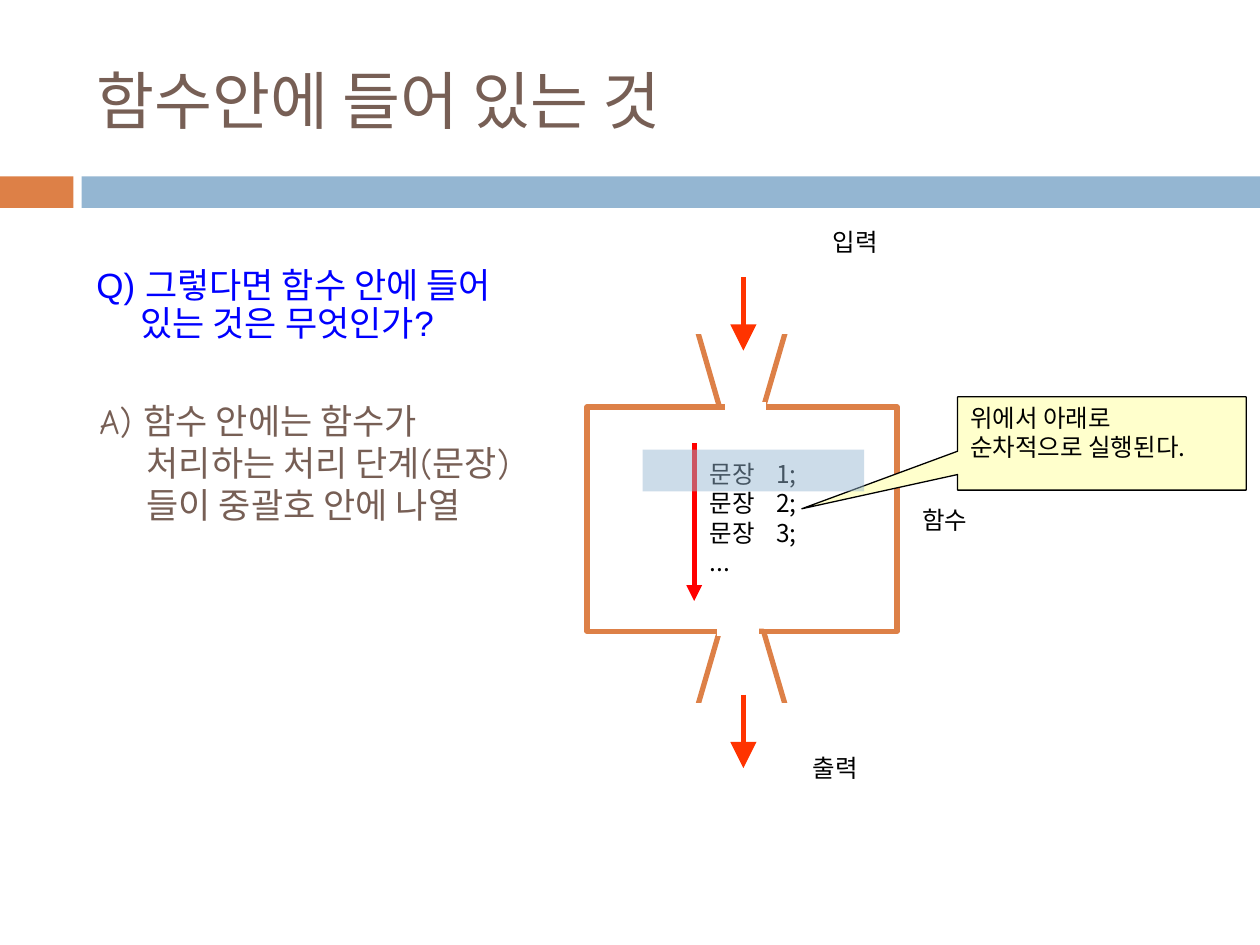
from dataclasses import dataclass

from lxml.etree import SubElement
from pptx import Presentation
from pptx.dml.color import RGBColor
from pptx.enum.shapes import MSO_CONNECTOR, MSO_SHAPE
from pptx.enum.text import MSO_ANCHOR, PP_ALIGN
from pptx.oxml.ns import qn
from pptx.util import Pt


@dataclass(frozen=True)
class Theme:
    orange: str = "DD8047"
    blue: str = "94B6D2"
    brown: str = "775F55"
    question: str = "0000FF"
    flow: str = "FF3300"
    sequence: str = "FF0000"
    note: str = "FFFFCC"
    black: str = "000000"
    white: str = "FFFFFF"
    title_size: int = 36
    body_size: int = 20
    label_size: int = 14
    korean: str = "Noto Sans CJK KR"
    question_font: str = "Arial"
    answer_font: str = "Comic Neue"


THEME = Theme()


def color(value):
    return RGBColor.from_string(value)


def style_shape(shape, fill=None, line=None, line_width=3, alpha=None):
    shape.shadow.inherit = False
    if fill:
        shape.fill.solid()
        shape.fill.fore_color.rgb = color(fill)
        if alpha:
            fill_color = shape._element.spPr.find(qn("a:solidFill"))[0]
            SubElement(fill_color, qn("a:alpha"), val=str(alpha * 1000))
    else:
        shape.fill.background()
    if line:
        shape.line.color.rgb = color(line)
        shape.line.width = Pt(line_width)
    else:
        shape.line.fill.background()


def add_box(slide, left, top, width, height, kind=MSO_SHAPE.RECTANGLE, **style):
    shape = slide.shapes.add_shape(kind, Pt(left), Pt(top), Pt(width), Pt(height))
    style_shape(shape, **style)
    return shape


def write_text(shape, text, size=THEME.label_size, font=THEME.korean, ink=THEME.black,
               anchor=MSO_ANCHOR.TOP, wrap=True, hanging=0, spacing=None, tab=None):
    frame = shape.text_frame
    frame.word_wrap = wrap
    frame.vertical_anchor = anchor
    for index, line in enumerate(text.split("\n")):
        paragraph = frame.add_paragraph() if index else frame.paragraphs[0]
        paragraph.alignment = PP_ALIGN.LEFT
        if spacing:
            paragraph.line_spacing = spacing
        properties = paragraph._p.get_or_add_pPr()
        if hanging:
            properties.set("marL", str(Pt(hanging)))
            properties.set("indent", str(-Pt(hanging)))
        if tab:
            tabs = SubElement(properties, qn("a:tabLst"))
            SubElement(tabs, qn("a:tab"), pos=str(Pt(tab)), algn="l")
        run = paragraph.add_run()
        run.text = line
        run.font.size = Pt(size)
        run.font.name = font
        run.font.color.rgb = color(ink)
        SubElement(run._r.get_or_add_rPr(), qn("a:ea"), typeface=THEME.korean)


def add_text(slide, text, left, top, width, height, **style):
    box = slide.shapes.add_textbox(Pt(left), Pt(top), Pt(width), Pt(height))
    write_text(box, text, **style)
    return box


def add_line(slide, start, end, ink, width=3, head=None):
    line = slide.shapes.add_connector(MSO_CONNECTOR.STRAIGHT, *map(Pt, start + end))
    line.line.color.rgb = color(ink)
    line.line.width = Pt(width)
    if head:
        SubElement(line._element.spPr.find(qn("a:ln")), qn("a:tailEnd"),
                   type="triangle", w=head, len=head)
    SubElement(line._element.spPr, qn("a:effectLst"))


def add_funnel(slide, mouth, neck, neck_left):
    points = [(398.2, mouth), (411.1, neck), (436.3, neck), (449.3, mouth)]
    corners = [(Pt(x), Pt(y)) for x, y in points]
    builder = slide.shapes.build_freeform(*corners[0])
    builder.add_line_segments(corners[1:], close=True)
    style_shape(builder.convert_to_shape(), line=THEME.orange)
    for left, width, y in ((393.8, 63.4, mouth), (neck_left, 23.8, neck)):
        add_line(slide, (left, y), (left + width, y), THEME.white, width=6)


def add_function_machine(slide):
    add_box(slide, 335.5, 232.5, 177.1, 128.2, line=THEME.orange)
    add_funnel(slide, 187.9, 232.5, 414)
    add_funnel(slide, 405, 360.7, 409.7)
    for text, left, top in (("함수", 519.8, 285.1), ("입력", 468.7, 126), ("출력", 457.2, 427)):
        add_text(slide, text, left, top, 42.5, 23.8, wrap=False)
    for top in (158.4, 396.9):
        add_line(slide, (424.8, top), (424.8, top + 42), THEME.flow, head="lg")
    add_line(slide, (396.7, 253.4), (396.7, 343.4), THEME.sequence, head="med")
    add_text(slide, "문장\t1;\n문장\t2;\n문장\t3;\n...", 398.5, 258.7, 71, 91.2, tab=38)


def add_callout(slide):
    callout = add_box(slide, 547.2, 226.8, 164.9, 53.3,
                      kind=MSO_SHAPE.RECTANGULAR_CALLOUT,
                      fill=THEME.note, line=THEME.black, line_width=0.75)
    callout.adjustments[0] = -1.04
    callout.adjustments[1] = 0.7
    write_text(callout, "위에서 아래로\n순차적으로 실행된다.")


def main():
    presentation = Presentation()
    presentation.slide_width, presentation.slide_height = Pt(720), Pt(540)
    slide = presentation.slides.add_slide(presentation.slide_layouts[6])
    add_box(slide, 0, 100.8, 42, 18, fill=THEME.orange)
    add_box(slide, 46.6, 100.8, 673.4, 18, fill=THEME.blue)
    add_text(slide, "함수안에 들어 있는 것", 48, 18, 642, 78, size=THEME.title_size,
             ink=THEME.brown, anchor=MSO_ANCHOR.MIDDLE)
    add_text(slide, "Q) 그렇다면 함수 안에 들어 있는 것은 무엇인가?", 48, 149.8, 270.7, 54.7,
             size=THEME.body_size, font=THEME.question_font, ink=THEME.question,
             hanging=25.2, spacing=0.9)
    add_function_machine(slide)
    add_callout(slide)
    add_text(slide, "A) 함수 안에는 함수가 처리하는 처리 단계(문장)들이 중괄호 안에 나열",
             49.7, 224.6, 270.7, 116.6, size=THEME.body_size, font=THEME.answer_font,
             ink=THEME.brown, hanging=27)
    add_box(slide, 367.2, 257, 126.7, 23.8, fill=THEME.blue, alpha=47)
    presentation.save("out.pptx")


if __name__ == "__main__":
    main()
